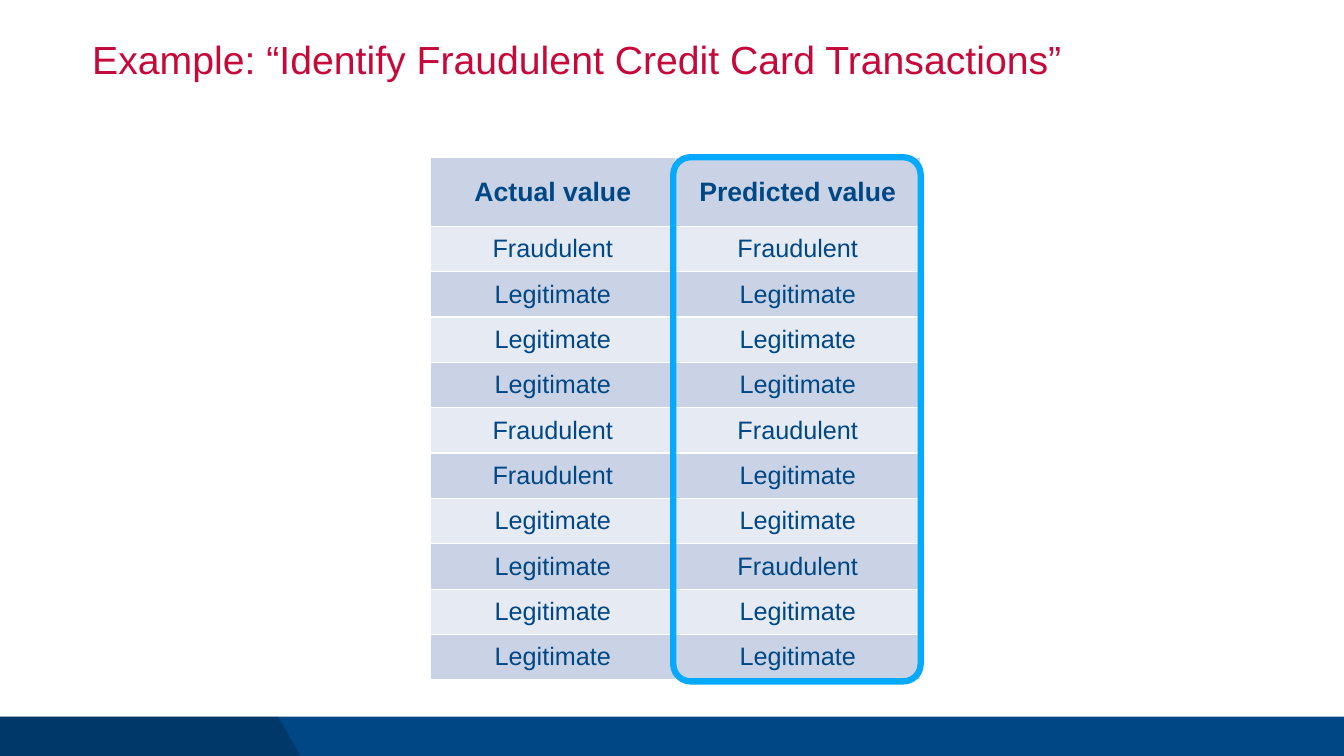
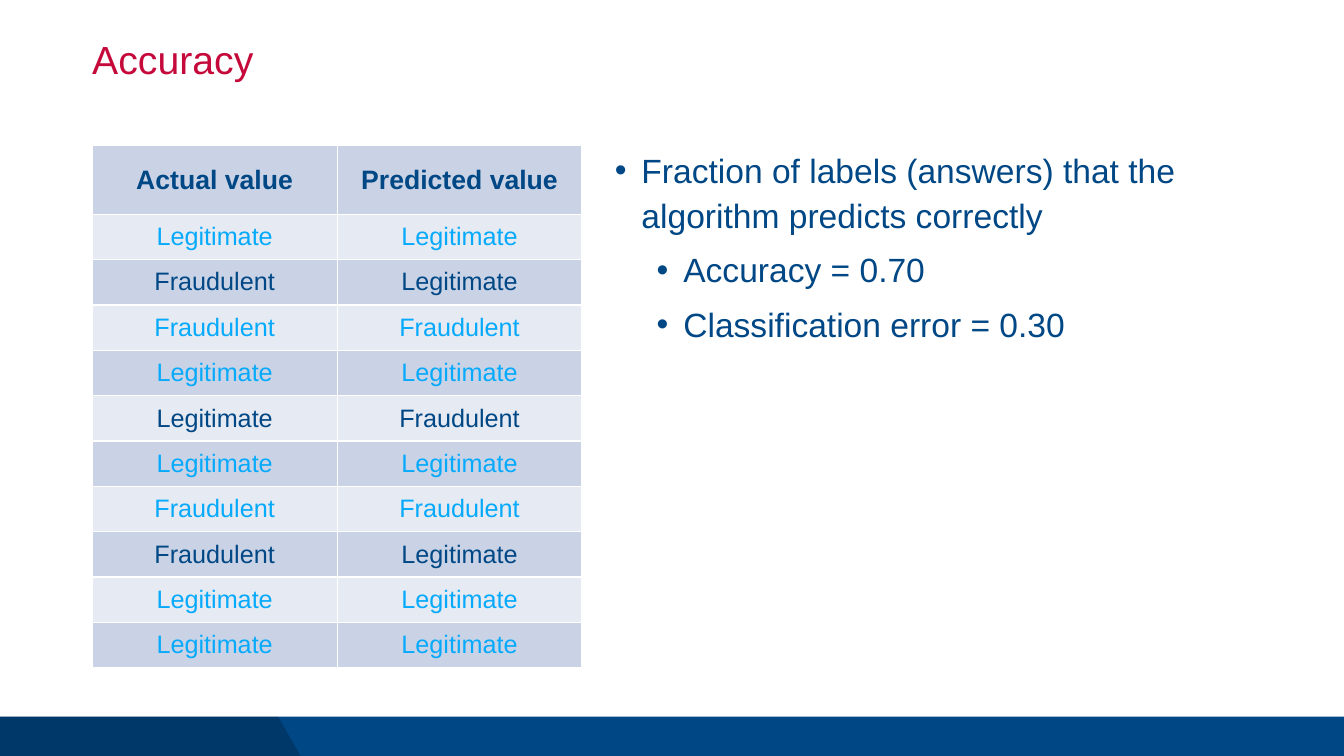
"""Build two slides on judging a fraud classifier."""
from dataclasses import dataclass

from lxml.etree import SubElement as Sub
from pptx import Presentation
from pptx.dml.color import RGBColor
from pptx.enum.shapes import MSO_SHAPE as Shape
from pptx.enum.text import MSO_ANCHOR as Anchor, MSO_AUTO_SIZE as Fit, PP_ALIGN as Align
from pptx.oxml.ns import qn
from pptx.util import Emu, Pt

PX = 9144
FONT = "Arial"
NAVY = RGBColor(0x00, 0x47, 0x85)
RED = RGBColor(0xC5, 0x09, 0x3B)
SKY = RGBColor(0x06, 0xAA, 0xFC)
DARK = RGBColor(0xCA, 0xD3, 0xE5)
PALE = RGBColor(0xE6, 0xEA, 0xF2)
WHITE = RGBColor(0xFF, 0xFF, 0xFF)
BLACK = RGBColor(0x00, 0x00, 0x00)

WIDE, HIGH = 2667, 1500
COL, HEAD, ROW = 486, 136, 90
LABELS = {"F": "Fraudulent", "L": "Legitimate"}


@dataclass(frozen=True)
class Box:
    left: int
    top: int
    width: int
    height: int

    def emu(self) -> list[Emu]:
        return [px(n) for n in (self.left, self.top, self.width, self.height)]


@dataclass(frozen=True)
class Point:
    text: str
    level: int
    indent: int
    space: int


TITLE = Box(183, 80, 2300, 105)
BAND = Box(0, 1422, WIDE, 84)
RING = Box(1336, 312, 491, 1040)
BODY = Box(1220, 290, 1263, 1036)
HANG = 53
POINTS = [
    Point("Fraction of labels (answers) that the algorithm predicts correctly", 0, 53, 30),
    Point("Accuracy = 0.70", 1, 136, 15),
    Point("Classification error = 0.30", 1, 136, 15),
]


def px(count: int) -> Emu:
    return Emu(count * PX)


def style(para, size: int, color: RGBColor, bold: bool = False) -> None:
    font = para.font
    font.name, font.size, font.bold = FONT, Pt(size), bold
    font.color.rgb = color


def clear(frame, anchor: Anchor) -> None:
    frame.margin_left = frame.margin_right = 0
    frame.margin_top = frame.margin_bottom = 0
    frame.word_wrap, frame.auto_size = True, Fit.NONE
    frame.vertical_anchor = anchor


def paint(shape, color: RGBColor) -> None:
    shape.shadow.inherit = False
    shape.fill.solid()
    shape.fill.fore_color.rgb = color
    shape.line.fill.background()


def add_band(slide) -> None:
    paint(slide.shapes.add_shape(Shape.RECTANGLE, *BAND.emu()), NAVY)
    top, base = BAND.top, BAND.top + BAND.height
    pen = slide.shapes.build_freeform(0, top, scale=PX)
    pen.add_line_segments([(552, top), (600, base), (0, base)], close=True)
    shade = pen.convert_to_shape()
    paint(shade, BLACK)
    tint = shade.fill._xPr.find(qn("a:solidFill"))[0]
    Sub(tint, qn("a:alpha"), val="20000")


def add_slide(deck, text: str):
    slide = deck.slides.add_slide(deck.slide_layouts[5])
    add_band(slide)
    title = slide.shapes.title
    title.left, title.top, title.width, title.height = TITLE.emu()
    title.text = text
    clear(title.text_frame, Anchor.TOP)
    para = title.text_frame.paragraphs[0]
    para.alignment, para.line_spacing = Align.LEFT, 0.9
    style(para, 56, RED)
    return slide


def edge(cell) -> None:
    props = cell._tc.get_or_add_tcPr()
    for side in ("lnL", "lnR", "lnT", "lnB"):
        line = Sub(props, qn(f"a:{side}"), w=str(Pt(2)))
        fill = Sub(line, qn("a:solidFill"))
        Sub(fill, qn("a:srgbClr"), val=str(WHITE))


def set_cell(cell, text: str, fill: RGBColor, size: int, color: RGBColor, bold: bool) -> None:
    edge(cell)
    cell.fill.solid()
    cell.fill.fore_color.rgb = fill
    cell.margin_left = cell.margin_right = px(10)
    cell.margin_top = cell.margin_bottom = px(10)
    cell.vertical_anchor = Anchor.MIDDLE
    cell.text = text
    para = cell.text_frame.paragraphs[0]
    para.alignment = Align.CENTER
    style(para, size, color, bold)


def add_grid(slide, left: int, top: int, pairs: str, mark: bool) -> None:
    rows = pairs.split()
    box = Box(left, top, 2 * COL, HEAD + len(rows) * ROW)
    table = slide.shapes.add_table(len(rows) + 1, 2, *box.emu()).table
    table.horz_banding = False
    for col in table.columns:
        col.width = px(COL)
    for i, row in enumerate(table.rows):
        row.height = px(ROW if i else HEAD)
    for j, text in enumerate(("Actual value", "Predicted value")):
        set_cell(table.cell(0, j), text, DARK, 38, NAVY, True)
    for i, pair in enumerate(rows, 1):
        fill = PALE if i % 2 else DARK
        color = SKY if mark and pair[0] == pair[1] else NAVY
        for j, key in enumerate(pair):
            set_cell(table.cell(i, j), LABELS[key], fill, 36, color, False)


def add_ring(slide) -> None:
    ring = slide.shapes.add_shape(Shape.ROUNDED_RECTANGLE, *RING.emu())
    ring.adjustments[0] = 0.07
    ring.shadow.inherit = False
    ring.fill.background()
    ring.line.color.rgb, ring.line.width = SKY, Pt(9)


def add_points(slide) -> None:
    frame = slide.shapes.add_textbox(*BODY.emu()).text_frame
    clear(frame, Anchor.TOP)
    for i, point in enumerate(POINTS):
        para = frame.add_paragraph() if i else frame.paragraphs[0]
        para.text, para.level = point.text, point.level
        para.line_spacing, para.space_before = 1.1, Pt(point.space)
        props = para._p.get_or_add_pPr()
        props.set("marL", str(px(point.indent)))
        props.set("indent", str(px(-HANG)))
        Sub(props, qn("a:buFont"), typeface=FONT)
        Sub(props, qn("a:buChar"), char="•")
        style(para, 48, NAVY)


def main() -> None:
    deck = Presentation()
    deck.slide_width, deck.slide_height = px(WIDE), px(HIGH)

    slide = add_slide(deck, "Example: “Identify Fraudulent Credit Card Transactions”")
    add_grid(slide, 854, 313, "FF LL LL LL FF FL LL LF LL LL", False)
    add_ring(slide)

    slide = add_slide(deck, "Accuracy")
    add_grid(slide, 183, 289, "LL FL FF LL LF LL FF FL LL LL", True)
    add_points(slide)

    deck.save("out.pptx")


if __name__ == "__main__":
    main()
